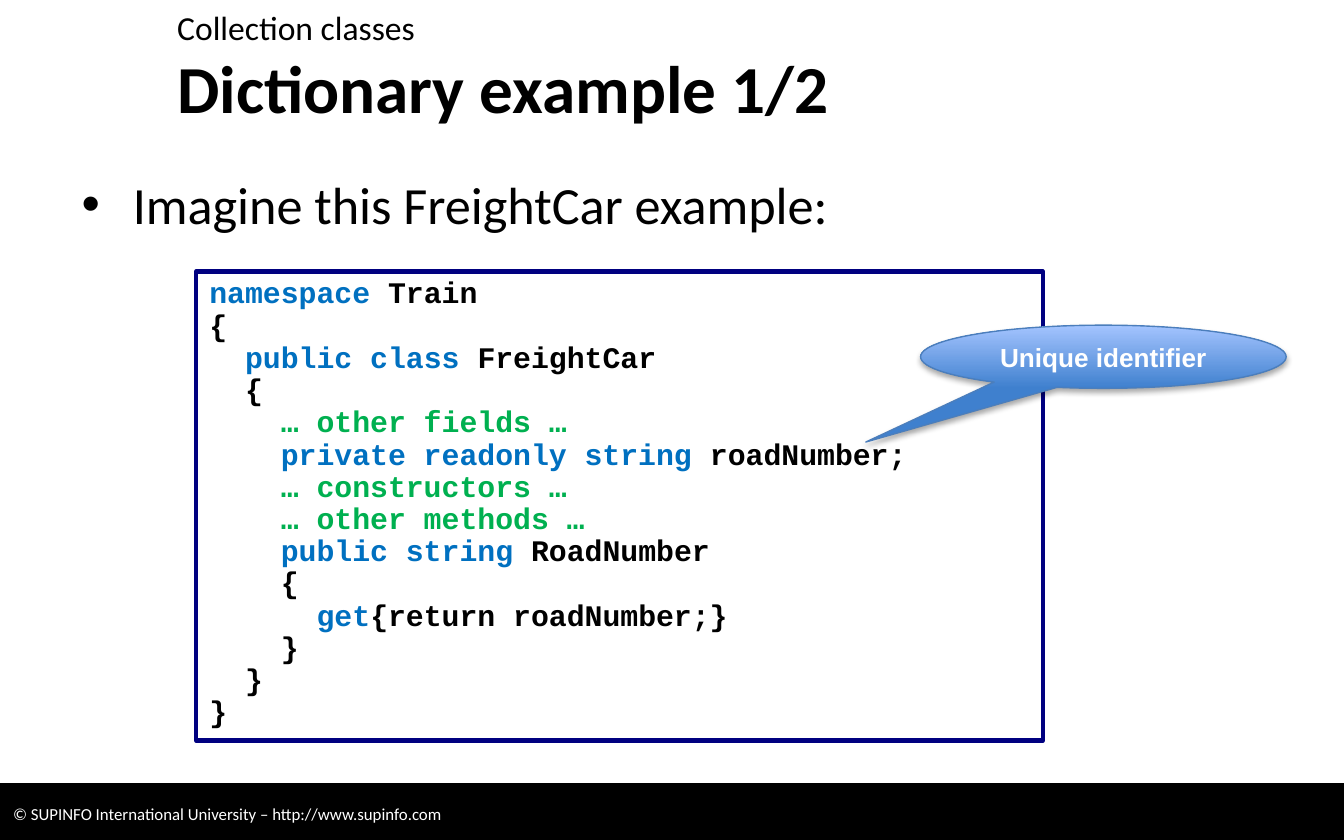
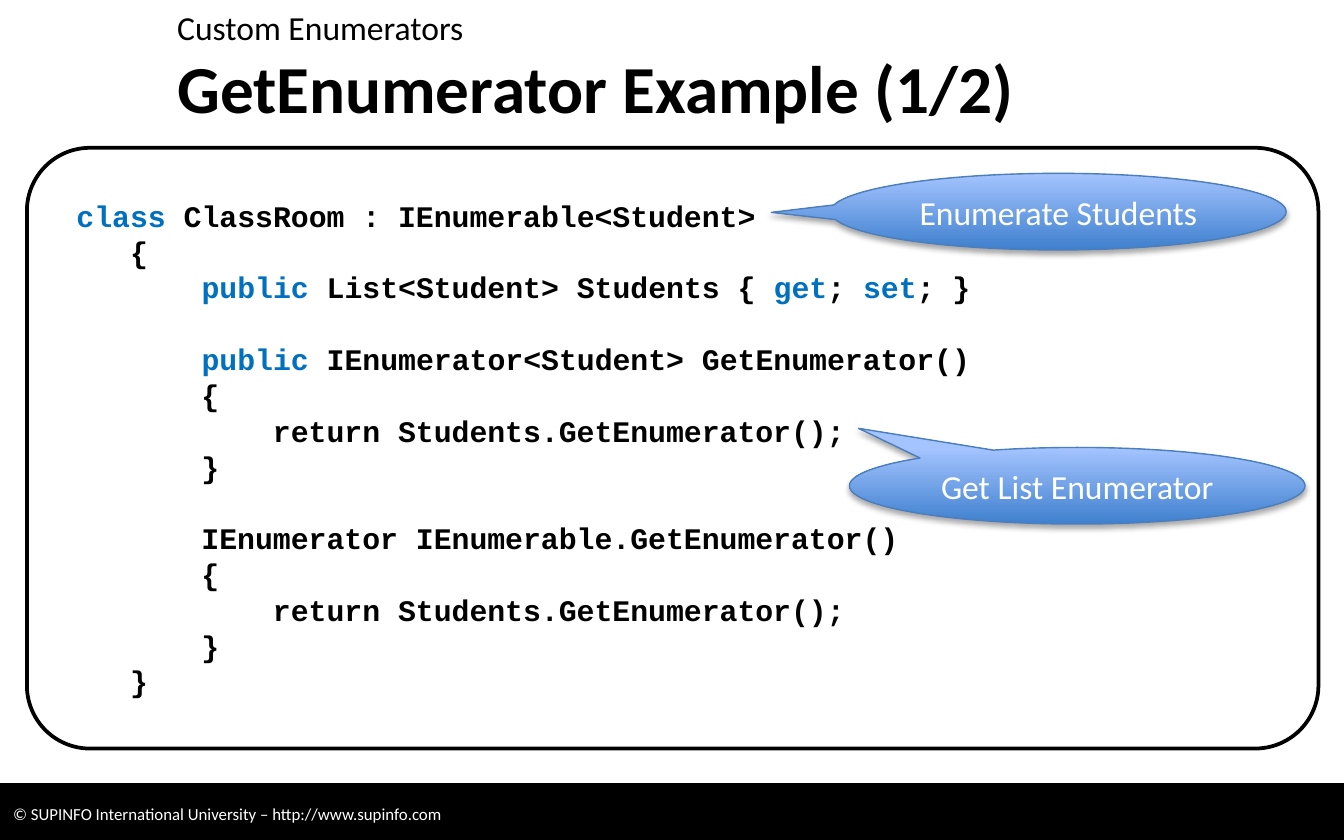
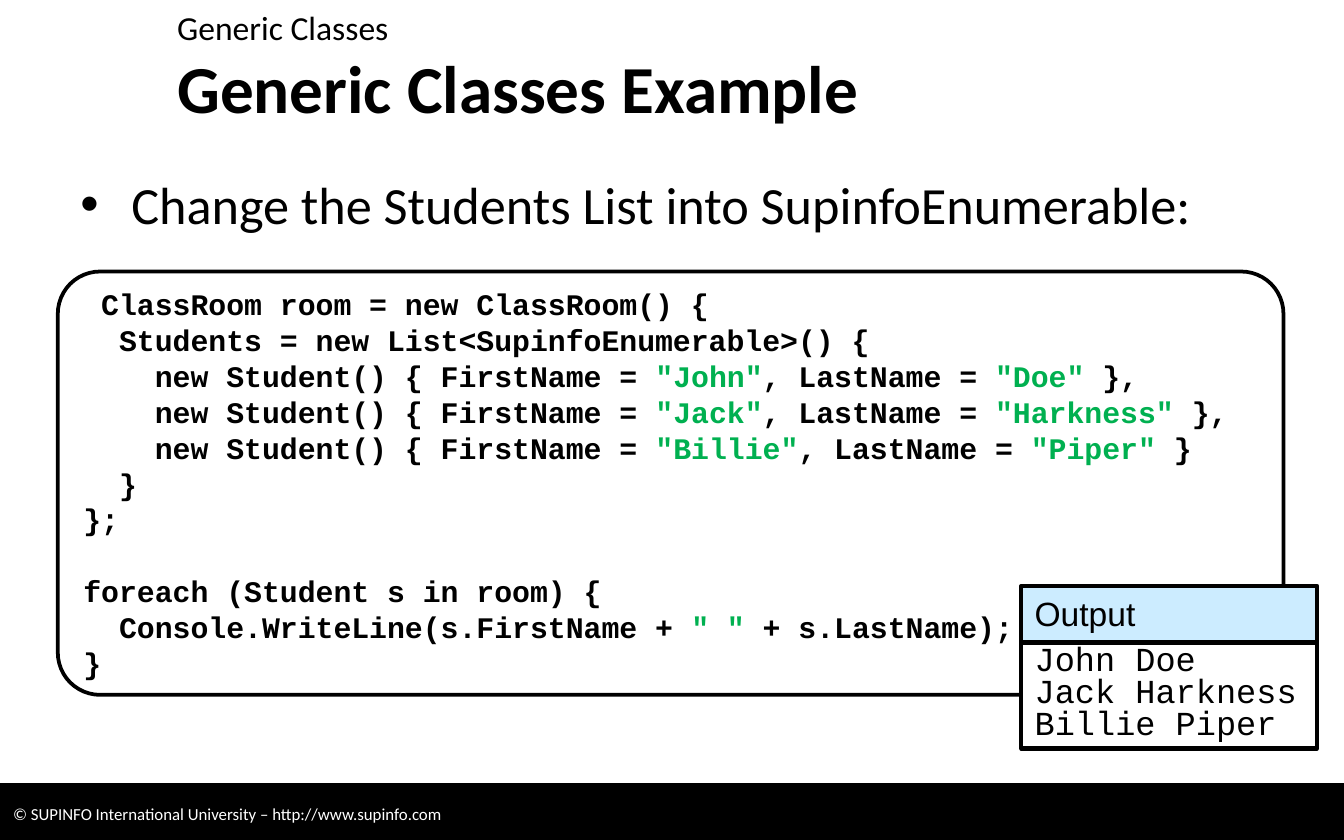
from dataclasses import dataclass

from lxml.etree import SubElement
from pptx import Presentation
from pptx.dml.color import RGBColor
from pptx.enum.shapes import MSO_SHAPE as Preset
from pptx.enum.text import MSO_ANCHOR as Anchor, PP_ALIGN as Align
from pptx.oxml.ns import qn
from pptx.util import Emu, Inches, Pt

GRID = Inches(0.1)  # the slide is 100 columns by 62.5 rows


@dataclass(frozen=True)
class TextStyle:
    font: str
    size: int
    color: str
    bold: bool = False
    spacing: float = 1.0
    before: float = 0  # points above every paragraph but the first


@dataclass(frozen=True)
class Theme:
    black: str = "000000"
    white: str = "FFFFFF"
    keyword: str = "0070C0"
    literal: str = "00B050"
    navy: str = "000080"
    output_header: str = "CCECFF"
    callout_line: str = "4B7EBC"
    callout_bottom: str = "3F80CE"
    callout_top: str = "A4C4FF"
    title: TextStyle = TextStyle("Calibri", 36, black, bold=True)
    section: TextStyle = TextStyle("Calibri", 18, black)
    bullet: TextStyle = TextStyle("Calibri", 28, black)
    footer: TextStyle = TextStyle("Calibri", 9, white)
    code: TextStyle = TextStyle("Courier New", 16, black, bold=True)
    tight_code: TextStyle = TextStyle("Courier New", 16, black, bold=True, spacing=0.9)
    callout: TextStyle = TextStyle("Calibri", 18, white)
    small_callout: TextStyle = TextStyle("Arial", 14, white, bold=True)
    output_title: TextStyle = TextStyle("Arial", 18, black)
    output: TextStyle = TextStyle("Courier New", 18, black, spacing=0.7, before=2)


THEME = Theme()
FOOTER = "© SUPINFO International University – http://www.supinfo.com"

# Backticks enclose the highlighted parts of a line of code.
FREIGHT_CAR_CODE = """\
`namespace `Train
{
  `public class `FreightCar
  {
    `… other fields …`
    `private readonly string `roadNumber;
    `… constructors …`
    `… other methods …`
    `public string `RoadNumber
    {
      `get`{return roadNumber;}
    }
  }
}"""

CLASS_ROOM_CODE = """\
 `class `ClassRoom : IEnumerable<Student>
    {
        `public` List<Student> Students { `get`; `set`; }

        `public `IEnumerator<Student> GetEnumerator()
        {
            return Students.GetEnumerator();
        }

        IEnumerator IEnumerable.GetEnumerator()
        {
            return Students.GetEnumerator();
        }
    }"""

STUDENTS_CODE = """\
 ClassRoom room = new ClassRoom() {
  Students = new List<SupinfoEnumerable>() {
    new Student() { FirstName = `"John"`, LastName = `"Doe"` },
    new Student() { FirstName = `"Jack"`, LastName = `"Harkness"` },
    new Student() { FirstName = `"Billie"`, LastName = `"Piper"` }
  }
};

foreach (Student s in room) {
  Console.WriteLine(s.FirstName + `" "` + s.LastName);
}"""


def rgb(color):
    return RGBColor.from_string(color)


def cells(*lengths):
    """Turn columns and rows of the grid into lengths."""
    return [Emu(round(length * GRID)) for length in lengths]


def apply_style(paragraph, style):
    paragraph.line_spacing = style.spacing
    font = paragraph.font
    font.name, font.size, font.bold = style.font, Pt(style.size), style.bold
    font.color.rgb = rgb(style.color)


def write(shape, text, style, anchor=Anchor.TOP, align=Align.LEFT):
    """Fill a shape with one paragraph a line, colouring the highlighted parts."""
    frame = shape.text_frame
    frame.word_wrap = True
    frame.vertical_anchor = anchor
    for number, line in enumerate(text.split("\n")):
        paragraph = frame.add_paragraph() if number else frame.paragraphs[0]
        paragraph.alignment = align
        if number and style.before:
            paragraph.space_before = Pt(style.before)
        apply_style(paragraph, style)
        for index, part in enumerate(line.split("`")):
            if not part:
                continue
            run = paragraph.add_run()
            run.text = part
            if index % 2:
                is_literal = part[0] in '…"'
                run.font.color.rgb = rgb(THEME.literal if is_literal else THEME.keyword)


def add_text(slide, place, text, style, anchor=Anchor.TOP):
    write(slide.shapes.add_textbox(*cells(*place)), text, style, anchor)


def add_bullet(slide, place, text):
    box = slide.shapes.add_textbox(*cells(*place))
    box.text_frame.word_wrap = True
    paragraph = box.text_frame.paragraphs[0]
    paragraph.text = text
    properties = paragraph._p.get_or_add_pPr()
    indent = Inches(0.38)
    properties.set("marL", str(indent))
    properties.set("indent", str(-indent))
    SubElement(properties, qn("a:buFont"), typeface="Arial")
    SubElement(properties, qn("a:buChar"), char="•")
    apply_style(paragraph, THEME.bullet)


def add_panel(slide, place, line, width, fill=THEME.white, preset=Preset.RECTANGLE, adjust=()):
    shape = slide.shapes.add_shape(preset, *cells(*place))
    shape.shadow.inherit = False
    for index, value in enumerate(adjust):
        shape.adjustments[index] = value
    shape.fill.solid()
    shape.fill.fore_color.rgb = rgb(fill)
    shape.line.color.rgb = rgb(line)
    shape.line.width = Pt(width)
    return shape


def add_rounded_code(slide, place, corner, code):
    panel = add_panel(slide, place, THEME.black, 2,
                      preset=Preset.ROUNDED_RECTANGLE, adjust=[corner])
    write(panel, code, THEME.code, Anchor.MIDDLE)


def add_shadow(shape):
    effects = shape._element.spPr.find(qn("a:effectLst"))
    shadow = SubElement(effects, qn("a:outerShdw"), blurRad=str(Pt(3.1)),
                        dist=str(Pt(1.8)), dir="5400000", rotWithShape="0")
    color = SubElement(shadow, qn("a:srgbClr"), val=THEME.black)
    SubElement(color, qn("a:alpha"), val="35000")


def add_callout(slide, place, tip, text, style=THEME.callout, side_inset=0.1):
    """Add a speech ellipse whose tip is given in shares of its size, from its centre."""
    callout = add_panel(slide, place, THEME.callout_line, 0.75,
                        preset=Preset.OVAL_CALLOUT, adjust=tip)
    callout.fill.gradient()
    callout.fill.gradient_angle = 90
    for stop, color in zip(callout.fill.gradient_stops,
                           (THEME.callout_bottom, THEME.callout_top)):
        stop.color.rgb = rgb(color)
    add_shadow(callout)
    frame = callout.text_frame
    frame.margin_left = frame.margin_right = Inches(side_inset)
    write(callout, text, style, Anchor.MIDDLE, Align.CENTER)


def add_output(slide, left, top, width, header_height, body_height, text):
    body = add_panel(slide, (left, top + header_height, width, body_height), THEME.black, 2.25)
    write(body, text, THEME.output)
    header = add_panel(slide, (left, top, width, header_height), THEME.black, 2.25,
                       fill=THEME.output_header)
    write(header, "Output", THEME.output_title)


def add_slide(presentation, section, title):
    """Start a slide with the footer band and both headings."""
    slide = presentation.slides.add_slide(presentation.slide_layouts[6])
    band = add_panel(slide, (0, 58.3, 100, 4.5), THEME.black, 0.75, fill=THEME.black)
    write(band, FOOTER, THEME.footer, Anchor.MIDDLE)
    add_text(slide, (12.2, 3.7, 85.1, 5.5), title, THEME.title, Anchor.MIDDLE)
    add_text(slide, (12.2, 0, 85.1, 3.7), section, THEME.section)
    return slide


def add_dictionary_slide(presentation):
    slide = add_slide(presentation, "Collection classes", "Dictionary example 1/2")
    add_bullet(slide, (5.1, 12.3, 90.6, 46.3), "Imagine this FreightCar example:")
    panel = add_panel(slide, (14.6, 20.2, 63, 34.9), THEME.navy, 2.25)
    write(panel, FREIGHT_CAR_CODE, THEME.tight_code)
    add_callout(slide, (68.5, 24.2, 27.2, 4.7), (-0.65, 1.35), "Unique identifier",
                THEME.small_callout, side_inset=0)


def add_enumerator_slide(presentation):
    slide = add_slide(presentation, "Custom Enumerators", "GetEnumerator Example (1/2)")
    add_rounded_code(slide, (2, 11, 96.1, 44.7), 0.105, CLASS_ROOM_CODE)
    add_callout(slide, (61.8, 12.9, 33.9, 5.7), (-0.63, 0.01), "Enumerate Students")
    add_callout(slide, (63.2, 33.3, 33.9, 5.7), (-0.48, -0.75), "Get List Enumerator")


def add_generic_slide(presentation):
    slide = add_slide(presentation, "Generic Classes", "Generic Classes Example")
    add_bullet(slide, (5, 12.3, 92.3, 46.3), "Change the Students List into SupinfoEnumerable:")
    add_rounded_code(slide, (4.3, 20.2, 91.2, 31.5), 0.1, STUDENTS_CODE)
    add_output(slide, 76, 43.6, 22, 4.2, 7.9, "John Doe\nJack Harkness\nBillie Piper")


def main():
    presentation = Presentation()
    presentation.slide_width, presentation.slide_height = cells(100, 62.5)
    add_dictionary_slide(presentation)
    add_enumerator_slide(presentation)
    add_generic_slide(presentation)
    presentation.save("out.pptx")


if __name__ == "__main__":
    main()
